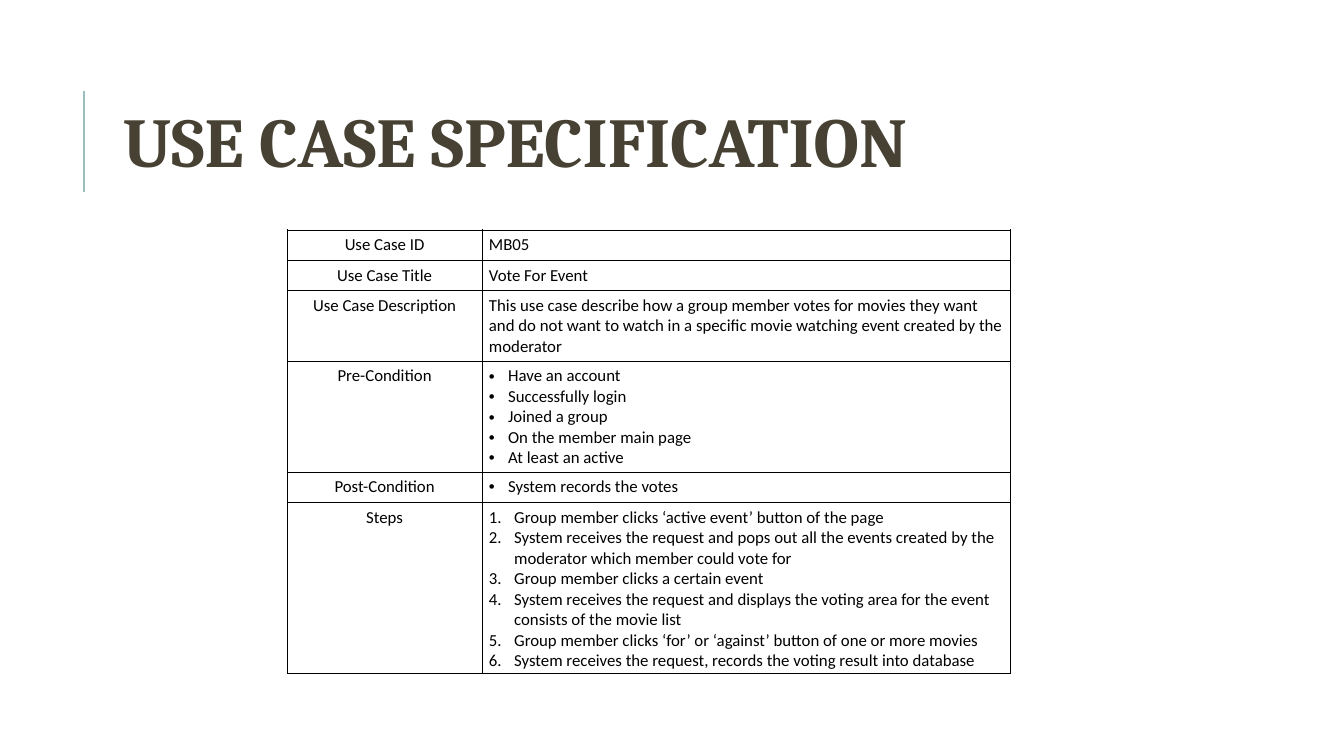
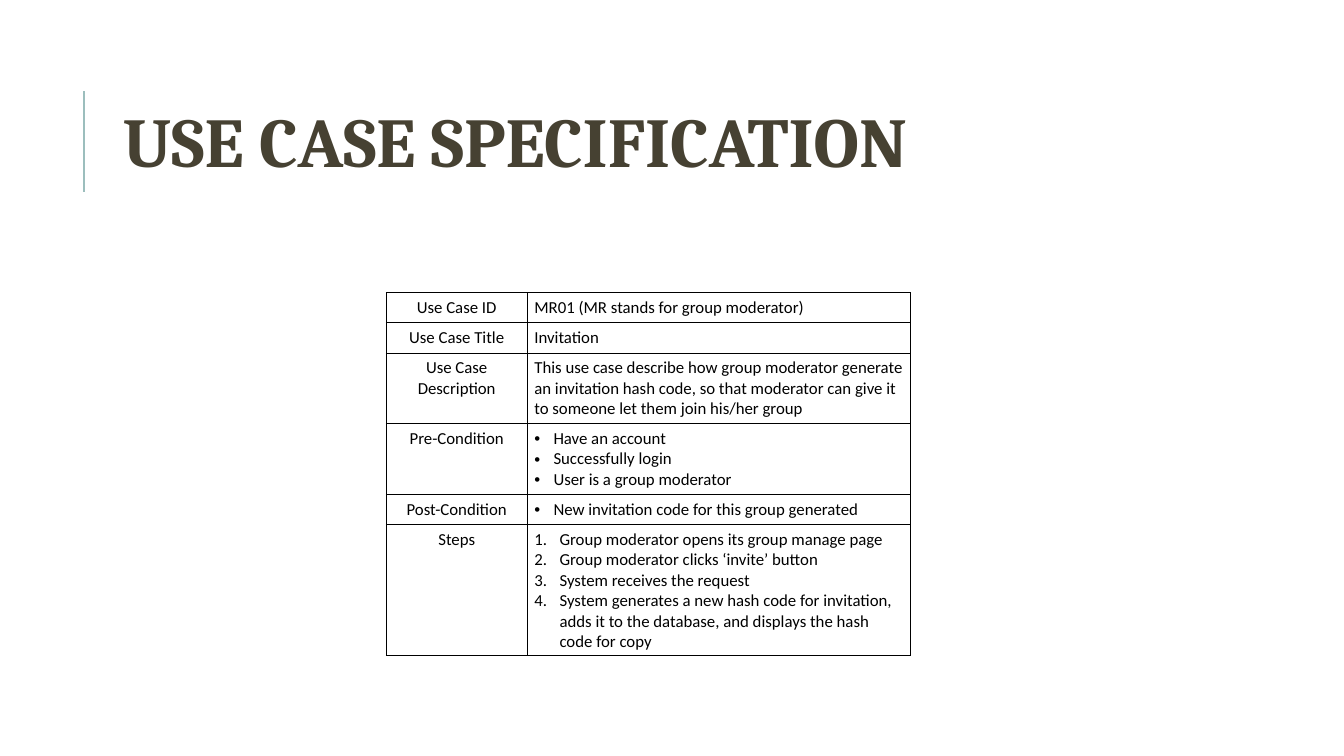
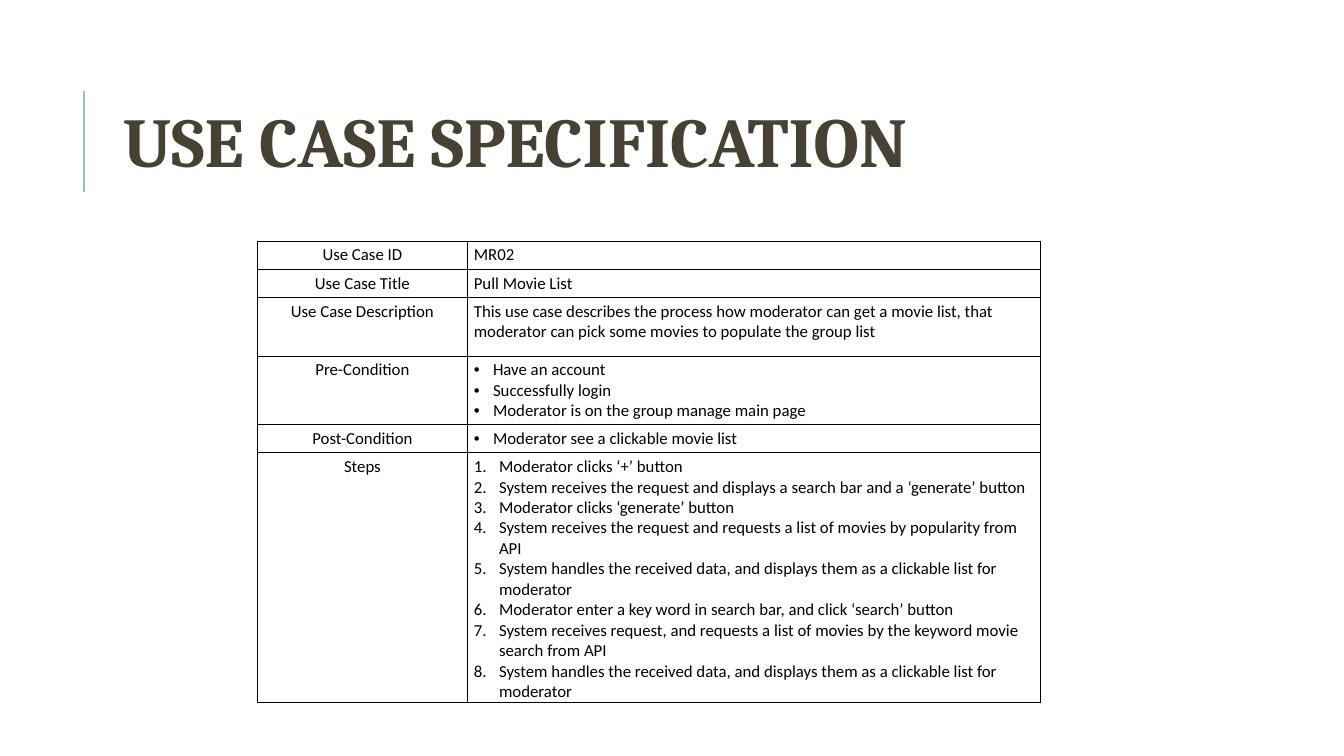
"""Build three use case specification slides, each with a title and a table."""
import pptx
import pptx.dml.color
import pptx.enum.shapes
import pptx.enum.text
import pptx.oxml.ns
import pptx.util
from lxml import etree

HEADING = "USE CASE SPECIFICATION"
LABELS = ["Use Case ID", "Use Case Title", "Use Case Description",
          "Pre-Condition", "Post-Condition", "Steps"]
LIST_STYLES = {"Pre-Condition": "bullet", "Post-Condition": "bullet", "Steps": "number"}
INDENTS = {"bullet": 0.19, "number": 0.25}
INK, TITLE_COLOUR, ACCENT = "000000", "464132", "9CBEBD"
LINE_HEIGHT = 0.2

USE_CASES = [
    {
        "origin": (2.85, 2.28), "columns": (1.93, 5.24), "margins": (0.07, 0.05),
        "lines": (1, 1, 3, 5, 1, 8),
        "entries": [
            ["MB05"],
            ["Vote For Event"],
            ["This use case describe how a group member votes for movies they want "
             "and do not want to watch in a specific movie watching event created by "
             "the moderator"],
            ["Have an account", "Successfully login", "Joined a group",
             "On the member main page", "At least an active"],
            ["System records the votes"],
            ["Group member clicks ‘active event’ button of the page",
             "System receives the request and pops out all the events created by the "
             "moderator which member could vote for",
             "Group member clicks a certain event",
             "System receives the request and displays the voting area for the event "
             "consists of the movie list",
             "Group member clicks ‘for’ or ‘against’ button of one or more movies",
             "System receives the request, records the voting result into database"],
        ],
    },
    {
        "origin": (3.83, 2.9), "columns": (1.4, 3.8), "margins": (0.07, 0.05),
        "lines": (1, 1, 3, 3, 1, 6),
        "entries": [
            ["MR01 (MR stands for group moderator)"],
            ["Invitation"],
            ["This use case describe how group moderator generate an invitation hash "
             "code, so that moderator can give it to someone let them join his/her group"],
            ["Have an account", "Successfully login", "User is a group moderator"],
            ["New invitation code for this group generated"],
            ["Group moderator opens its group manage page",
             "Group moderator clicks ‘invite’ button",
             "System receives the request",
             "System generates a new hash code for invitation, adds it to the database, "
             "and displays the hash code for copy"],
        ],
    },
    {
        "origin": (2.55, 2.39), "columns": (2.09, 5.68), "margins": (0.06, 0.04),
        "lines": (1, 1, 2.5, 3, 1, 12),
        "entries": [
            ["MR02"],
            ["Pull Movie List"],
            ["This use case describes the process how moderator can get a movie list, "
             "that moderator can pick some movies to populate the group list"],
            ["Have an account", "Successfully login",
             "Moderator is on the group manage main page"],
            ["Moderator see a clickable movie list"],
            ["Moderator clicks ‘+’ button",
             "System receives the request and displays a search bar and a ‘generate’ button",
             "Moderator clicks ‘generate’ button",
             "System receives the request and requests a list of movies by popularity from API",
             "System handles the received data, and displays them as a clickable list "
             "for moderator",
             "Moderator enter a key word in search bar, and click ‘search’ button",
             "System receives request, and requests a list of movies by the keyword "
             "movie search from API",
             "System handles the received data, and displays them as a clickable list "
             "for moderator"],
        ],
    },
]


def inches(*lengths):
    return [pptx.util.Inches(length) for length in lengths]


def colour(value):
    return pptx.dml.color.RGBColor.from_string(value)


def add_xml(parent, tag, **attributes):
    return etree.SubElement(parent, pptx.oxml.ns.qn(tag), attributes)


def style_font(paragraph, family, size, ink, bold=False):
    for run in paragraph.runs:
        run.font.name = family
        run.font.size = pptx.util.Pt(size)
        run.font.bold = bold
        run.font.color.rgb = colour(ink)


def add_heading(slide):
    rule = slide.shapes.add_connector(
        pptx.enum.shapes.MSO_CONNECTOR.STRAIGHT, *inches(0.83, 1.9, 0.83, 0.9))
    rule.line.color.rgb = colour(ACCENT)
    rule.line.width = pptx.util.Pt(1.5)
    add_xml(rule._element.spPr, "a:effectLst")
    frame = slide.shapes.add_textbox(*inches(1.12, 0.64, 10.63, 1.64)).text_frame
    frame.word_wrap = True
    frame.vertical_anchor = pptx.enum.text.MSO_ANCHOR.MIDDLE
    frame.text = HEADING
    frame.paragraphs[0].line_spacing = 0.8
    style_font(frame.paragraphs[0], "Cambria", 50, TITLE_COLOUR, True)


def add_marker(paragraph, style):
    properties = paragraph._p.get_or_add_pPr()
    indent = pptx.util.Inches(INDENTS[style])
    properties.set("marL", str(indent))
    properties.set("indent", str(-indent))
    add_xml(add_xml(properties, "a:buClr"), "a:srgbClr", val=INK)
    if style == "bullet":
        add_xml(properties, "a:buFont", typeface="Arial")
        add_xml(properties, "a:buChar", char="•")
    else:
        add_xml(properties, "a:buAutoNum", type="arabicPeriod")


def fill_cell(cell, texts, margins, style=None, centred=False):
    cell.margin_left = cell.margin_right = pptx.util.Inches(margins[0])
    cell.margin_top = cell.margin_bottom = pptx.util.Inches(margins[1])
    cell.text_frame.text = "\n".join(texts)
    for paragraph in cell.text_frame.paragraphs:
        style_font(paragraph, "Calibri", 12, INK)
        if centred:
            paragraph.alignment = pptx.enum.text.PP_ALIGN.CENTER
        if style:
            add_marker(paragraph, style)
    properties = cell._tc.get_or_add_tcPr()
    for side in ("a:lnL", "a:lnR", "a:lnT", "a:lnB"):
        border = add_xml(properties, side, w=str(pptx.util.Pt(0.5)))
        add_xml(add_xml(border, "a:solidFill"), "a:srgbClr", val=INK)
    cell.fill.background()


def add_use_case(slide, use_case):
    margins = use_case["margins"]
    heights = [count * LINE_HEIGHT + 2 * margins[1] for count in use_case["lines"]]
    table = slide.shapes.add_table(
        len(LABELS), 2, *inches(*use_case["origin"], sum(use_case["columns"]), sum(heights))).table
    table.first_row = table.horz_banding = False
    for column, width in zip(table.columns, use_case["columns"]):
        column.width = pptx.util.Inches(width)
    for row, height, label, entry in zip(table.rows, heights, LABELS, use_case["entries"]):
        row.height = pptx.util.Inches(height)
        fill_cell(row.cells[0], [label], margins, centred=True)
        fill_cell(row.cells[1], entry, margins, LIST_STYLES.get(label))


def main():
    deck = pptx.Presentation()
    deck.slide_width, deck.slide_height = inches(13.33, 7.5)
    for use_case in USE_CASES:
        slide = deck.slides.add_slide(deck.slide_layouts[6])
        add_heading(slide)
        add_use_case(slide, use_case)
    deck.save("out.pptx")


if __name__ == "__main__":
    main()
